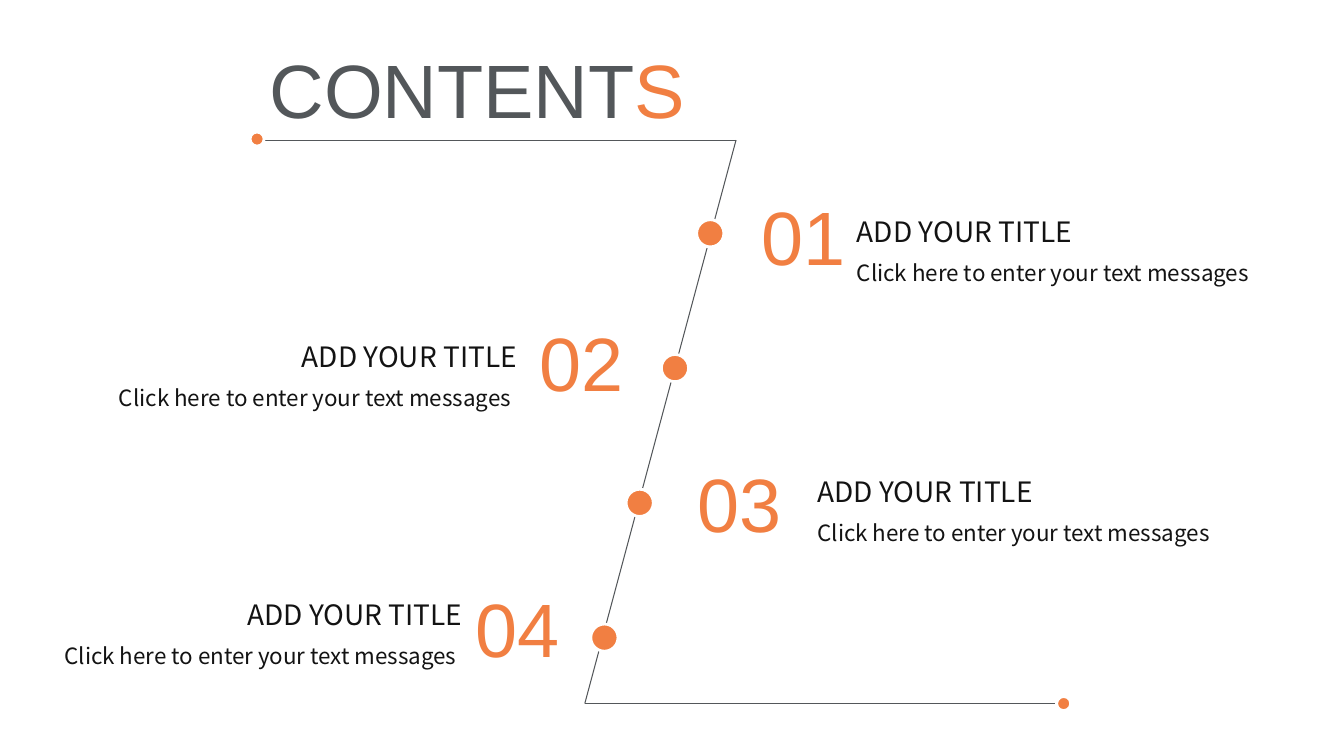
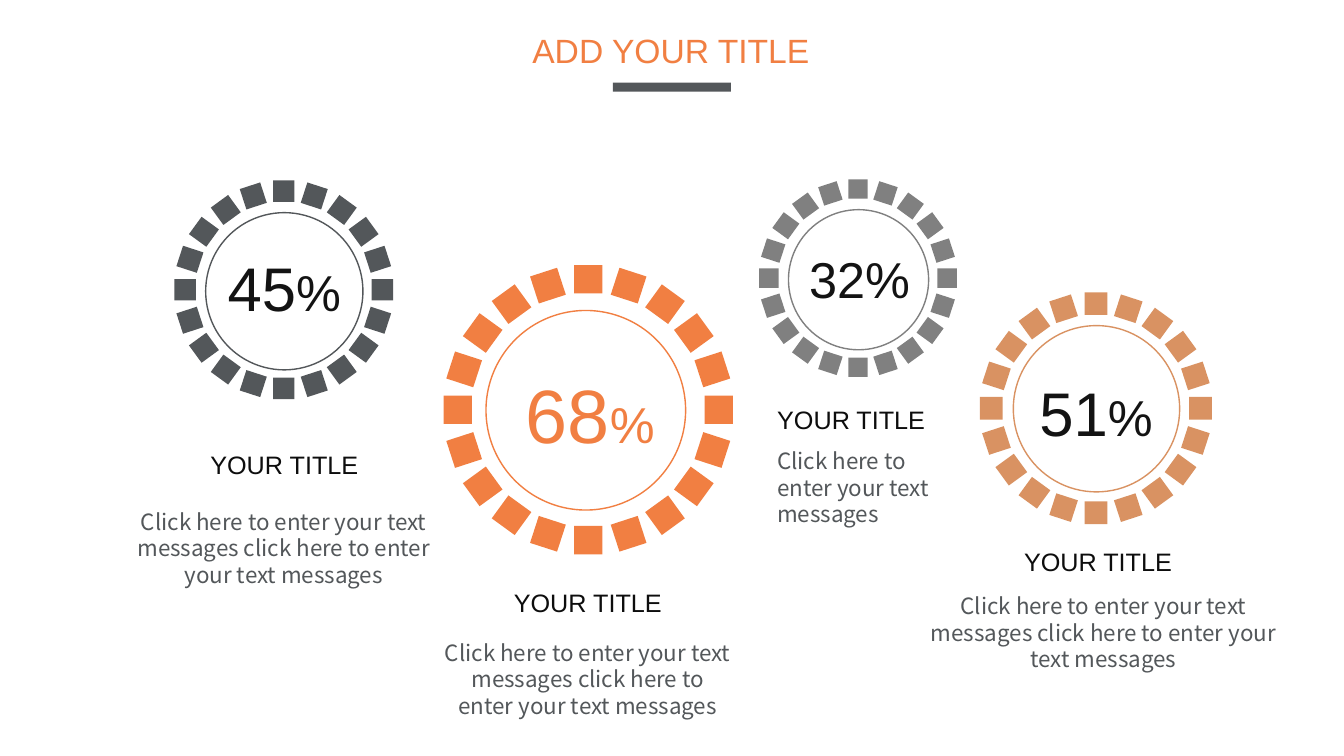
import math
from dataclasses import dataclass

import pptx
import pptx.dml.color
import pptx.enum.shapes
import pptx.enum.text
import pptx.oxml.ns
import pptx.util
from lxml import etree

Inches = pptx.util.Inches
Pt = pptx.util.Pt
ALIGN = pptx.enum.text.PP_ALIGN
SHAPE = pptx.enum.shapes.MSO_SHAPE


@dataclass(frozen=True)
class Theme:
    orange: str = "F17F42"
    slate: str = "53575A"
    grey: str = "808080"
    tan: str = "D99262"
    ink: str = "131313"
    black: str = "0D0D0D"
    white: str = "FFFFFF"
    display_font: str = "Arial"
    body_font: str = "Noto Sans CJK SC"
    display: int = 54
    large: int = 44
    medium: int = 36
    title: int = 24
    item: int = 20
    heading: int = 18
    body: int = 16
    body_leading: float = 1.19


THEME = Theme()

# Content: contents slide
ITEM_TITLE = "ADD YOUR TITLE"
MESSAGE = "Click here to enter your text messages"
LONG_MESSAGE = MESSAGE + " click here to enter your text messages"

# number, number position, side of the diagonal, left of text, top of text
CONTENTS = [
    ("01", (7.45, 1.83), "right", 8.40, 2.08),
    ("02", (5.25, 3.08), "left", 1.00, 3.32),
    ("03", (6.82, 4.48), "right", 8.01, 4.66),
    ("04", (4.62, 5.72), "left", 0.46, 5.88),
]
Z_POINTS = [(2.57, 1.39), (7.30, 1.39), (5.80, 6.98), (10.53, 6.98)]
END_DOTS = [(2.55, 1.38), (10.55, 6.98)]
FIRST_DOT, DOT_STEP = (7.045, 2.315), (-0.35, 1.337)

# Content: percentage slide; gear and ring are left, top, diameter
GEARS = [
    dict(color=THEME.slate, gear=(1.73, 1.79, 2.17), ring=(2.04, 2.11, 1.56),
         value=[("45", THEME.large), ("%", THEME.medium)],
         value_color=THEME.ink, value_box=(2.15, 2.43, 1.34, 0.84),
         heading=(1.98, 4.41), message=LONG_MESSAGE,
         message_box=(1.23, 4.99, 3.17, 0.91), align=ALIGN.CENTER),
    dict(color=THEME.orange, gear=(4.40, 2.63, 2.87), ring=(4.82, 3.08, 1.98),
         value=[("68", THEME.display), ("%", THEME.medium)],
         value_color=THEME.orange, value_box=(5.11, 3.60, 1.49, 1.01),
         heading=(4.99, 5.78), message=LONG_MESSAGE,
         message_box=(4.30, 6.29, 3.06, 0.91), align=ALIGN.CENTER),
    dict(color=THEME.grey, gear=(7.53, 1.78, 1.96), ring=(7.82, 2.08, 1.39),
         value=[("32%", THEME.medium)],
         value_color=THEME.ink, value_box=(7.92, 2.41, 1.21, 0.71),
         heading=(7.61, 3.96), message=MESSAGE,
         message_box=(7.61, 4.39, 2.04, 0.64), align=ALIGN.LEFT),
    dict(color=THEME.tan, gear=(9.72, 2.90, 2.30), ring=(10.05, 3.23, 1.65),
         value=[("51", THEME.large), ("%", THEME.medium)],
         value_color=THEME.ink, value_box=(10.20, 3.67, 1.34, 0.84),
         heading=(10.05, 5.37), message=LONG_MESSAGE,
         message_box=(9.03, 5.83, 3.83, 0.91), align=ALIGN.CENTER),
]
TEETH = 20
TOOTH_RATIO = 0.098


# Shared helpers
def rgb(color):
    return pptx.dml.color.RGBColor.from_string(color)


def inches(box):
    return [Inches(length) for length in box]


def write(shape, runs, font, align=ALIGN.LEFT, wrap=False):
    """Fill a text shape with one paragraph of (text, size, colour) runs."""
    frame = shape.text_frame
    frame.word_wrap = wrap
    frame.auto_size = pptx.enum.text.MSO_AUTO_SIZE.SHAPE_TO_FIT_TEXT
    frame.vertical_anchor = pptx.enum.text.MSO_ANCHOR.TOP
    paragraph = frame.paragraphs[0]
    paragraph.alignment = align
    if font == THEME.body_font:
        paragraph.line_spacing = Pt(round(runs[0][1] * THEME.body_leading))
    for text, size, color in runs:
        run = paragraph.add_run()
        run.text = text
        run.font.name = font
        run.font.size = Pt(size)
        run.font.color.rgb = rgb(color)


def add_text(slide, box, runs, font, **layout):
    write(slide.shapes.add_textbox(*inches(box)), runs, font, **layout)


def add_title(slide, box, runs, align):
    title = slide.shapes.title
    title.left, title.top, title.width, title.height = inches(box)
    write(title, runs, THEME.display_font, align)


def style(shape, fill=None, line=None, weight=1):
    shape.shadow.inherit = False
    if fill:
        shape.fill.solid()
        shape.fill.fore_color.rgb = rgb(fill)
    else:
        shape.fill.background()
    if line:
        shape.line.color.rgb = rgb(line)
        shape.line.width = Pt(weight)
    else:
        shape.line.fill.background()


def add_line(slide, start, end):
    connector = slide.shapes.add_connector(
        pptx.enum.shapes.MSO_CONNECTOR.STRAIGHT, *inches(start + end))
    connector.line.color.rgb = rgb(THEME.slate)
    connector.line.width = Pt(0.75)
    properties = connector._element.spPr
    etree.SubElement(properties, pptx.oxml.ns.qn("a:effectLst"))


def add_dot(slide, center, diameter):
    left, top = (position - diameter / 2 for position in center)
    dot = slide.shapes.add_shape(
        SHAPE.OVAL, *inches((left, top, diameter, diameter)))
    style(dot, THEME.orange, THEME.white, 2)


def add_teeth(shapes, box, color):
    """Draw a circle of squares as one outline."""
    left, top, diameter = box
    radius, side = diameter / 2, diameter * TOOTH_RATIO
    center_x, center_y = left + radius, top + radius
    builder = None
    for tooth in range(TEETH):
        angle = 2 * math.pi * tooth / TEETH
        cosine, sine = math.cos(angle), math.sin(angle)
        corners = []
        for along, across in ((radius, -side / 2), (radius, side / 2),
                              (radius - side, side / 2),
                              (radius - side, -side / 2)):
            corners.append((Inches(center_x + along * cosine - across * sine),
                            Inches(center_y + along * sine + across * cosine)))
        if builder is None:
            builder = shapes.build_freeform(*corners[0], scale=1.0)
        else:
            builder.move_to(*corners[0])
        builder.add_line_segments(corners[1:], close=True)
    style(builder.convert_to_shape(), color)


# Slides
def build_contents(slide):
    add_title(slide, (2.55, 0.38, 4.37, 1.01),
              [("CONTENT", THEME.display, THEME.slate),
               ("S", THEME.display, THEME.orange)], ALIGN.CENTER)

    # Z-shaped line with its dots
    for start, end in zip(Z_POINTS, Z_POINTS[1:]):
        add_line(slide, start, end)
    for center in END_DOTS:
        add_dot(slide, center, 0.14)
    for index in range(len(CONTENTS)):
        add_dot(slide, [first + index * step for first, step
                        in zip(FIRST_DOT, DOT_STEP)], 0.27)

    # Numbered entries
    title_width, body_width, title_height = 2.38, 4.25, 0.44
    for number, number_at, side, left, top in CONTENTS:
        on_left = side == "left"
        align = ALIGN.CENTER if on_left else ALIGN.LEFT
        title_left = left + (body_width - title_width if on_left else 0)
        add_text(slide, (*number_at, 1.18, 1.01),
                 [(number, THEME.display, THEME.orange)],
                 THEME.display_font, wrap=True)
        add_text(slide, (title_left, top, title_width, title_height),
                 [(ITEM_TITLE, THEME.item, THEME.ink)],
                 THEME.body_font, align=align)
        add_text(slide, (left, top + title_height, body_width, 0.37),
                 [(MESSAGE, THEME.body, THEME.ink)],
                 THEME.body_font, align=align, wrap=True)


def build_percentages(slide):
    add_title(slide, (5.18, 0.25, 2.98, 0.50),
              [(ITEM_TITLE, THEME.title, THEME.orange)], ALIGN.LEFT)
    bar = slide.shapes.add_shape(
        SHAPE.RECTANGLE, *inches((6.08, 0.82, 1.17, 0.09)))
    style(bar, THEME.slate)

    for item in GEARS:
        # Gear
        group = slide.shapes.add_group_shape()
        add_teeth(group.shapes, item["gear"], item["color"])
        left, top, diameter = item["ring"]
        ring = group.shapes.add_shape(
            SHAPE.OVAL, *inches((left, top, diameter, diameter)))
        style(ring, line=item["color"])

        # Value, heading and message
        add_text(slide, item["value_box"],
                 [(text, size, item["value_color"])
                  for text, size in item["value"]],
                 THEME.display_font, align=ALIGN.CENTER)
        add_text(slide, (*item["heading"], 1.68, 0.40),
                 [("YOUR TITLE", THEME.heading, THEME.black)],
                 THEME.display_font, align=item["align"])
        add_text(slide, item["message_box"],
                 [(item["message"], THEME.body, THEME.slate)],
                 THEME.body_font, align=item["align"], wrap=True)


def main():
    presentation = pptx.Presentation()
    presentation.slide_width = Inches(13.33)
    presentation.slide_height = Inches(7.5)
    title_only = presentation.slide_layouts[5]
    for build in (build_contents, build_percentages):
        build(presentation.slides.add_slide(title_only))
    presentation.save("out.pptx")


if __name__ == "__main__":
    main()
